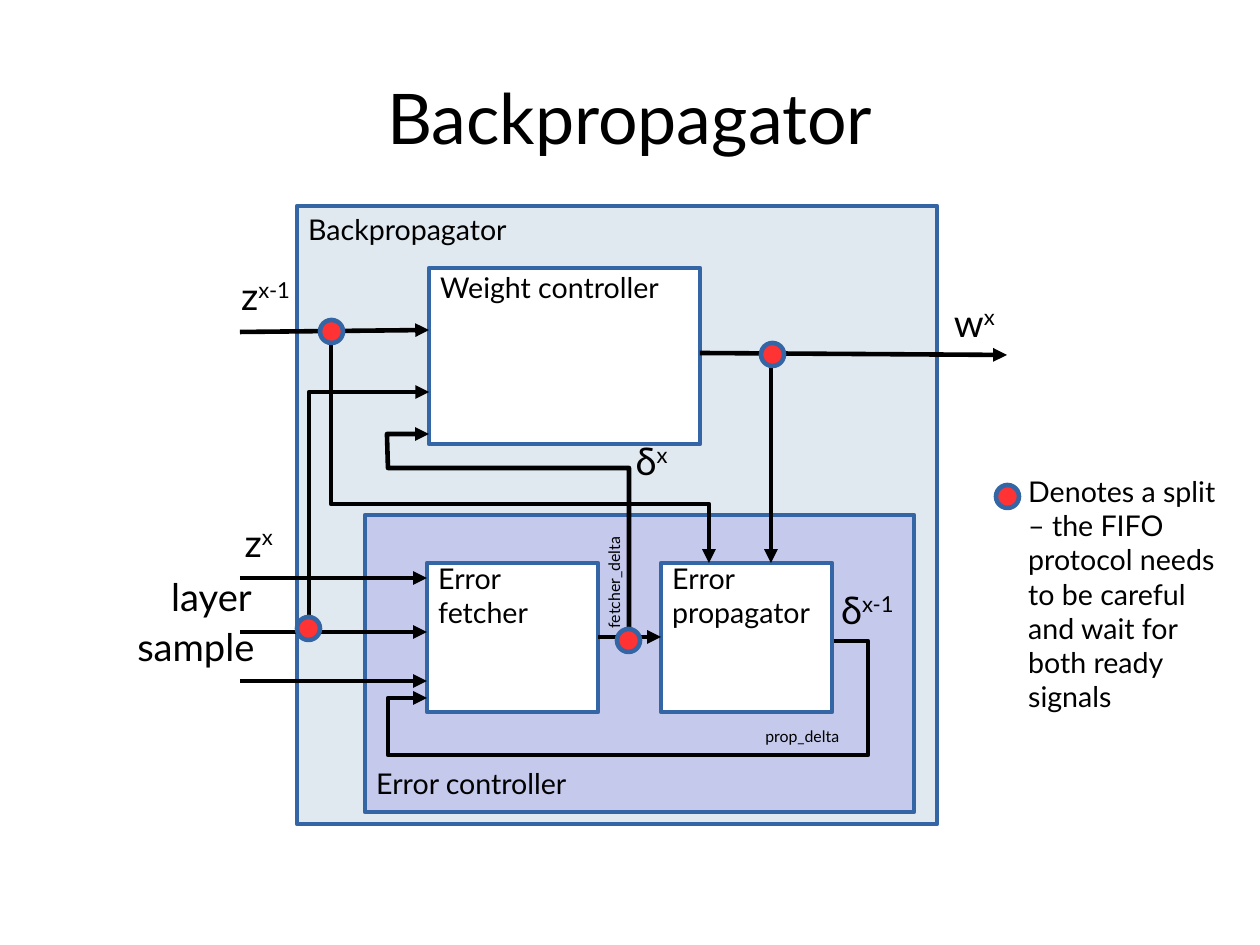
from lxml import etree
from pptx import Presentation
from pptx.dml.color import RGBColor
from pptx.enum.shapes import MSO_CONNECTOR, MSO_SHAPE
from pptx.enum.text import MSO_ANCHOR, PP_ALIGN
from pptx.oxml.ns import qn
from pptx.util import Pt

PX = 8000
SLIDE_WIDTH, SLIDE_HEIGHT = 1260, 945
FONT = "Lato"
BLACK, WHITE, BLUE, RED = "000000", "FFFFFF", "3465A4", "FF3333"
PALE_BLUE, LILAC = "E0E9F0", "C5CAED"
LINE_WIDTH = Pt(2.89)
DOT_SIZE = 23
RECTANGLE, OVAL = MSO_SHAPE.RECTANGLE, MSO_SHAPE.OVAL
STRAIGHT = MSO_CONNECTOR.STRAIGHT
LEFT, CENTER, RIGHT = PP_ALIGN.LEFT, PP_ALIGN.CENTER, PP_ALIGN.RIGHT
JUSTIFY = PP_ALIGN.JUSTIFY
TOP, MIDDLE = MSO_ANCHOR.TOP, MSO_ANCHOR.MIDDLE

BLOCKS = [
    ((297, 206, 640, 618), PALE_BLUE),
    ((365, 515, 549, 297), LILAC),
    ((429, 268, 271, 176), WHITE),
    ((427, 563, 171, 149), WHITE),
    ((661, 563, 171, 149), WHITE),
]

WIRES = [
    [(240, 332), (429, 330)],
    [(240, 578), (427, 578)],
    [(240, 632), (427, 632)],
    [(240, 681), (427, 681)],
    [(700, 353), (1007, 355)],
    [(771, 353), (771, 563)],
    [(598, 637), (661, 637)],
    [(629, 637), (629, 468), (388, 468), (387, 434), (429, 434)],
    [(834, 641), (868, 641), (868, 755), (388, 755), (388, 698), (427, 698)],
    [(331, 330), (331, 504), (709, 504), (709, 563)],
    [(309, 632), (309, 392), (429, 392)],
]

SPLITS = [(320, 320), (761, 343), (617, 629), (996, 485), (297, 617)]

CAPTIONS = [
    ((429, 264, 311, 113), ["Weight controller"]),
    ((427, 555, 160, 113), ["Error ", "fetcher"]),
    ((661, 555, 171, 137), ["Error ", "propagator"]),
    ((365, 760, 311, 113), ["Error controller"]),
    ((297, 206, 504, 58), ["Backpropagator"]),
    ((1017, 468, 217, 391), ["Denotes a split – the FIFO protocol needs to be "
                             "careful and wait for both ready signals"]),
]

SIGNALS = [
    ((230, 267, 81, 67), "z", "x-1", LEFT),
    ((227, 514, 57, 80), "z", "x", RIGHT),
    ((939, 294, 67, 67), "w", "x", RIGHT),
    ((615, 432, 64, 67), "δ", "x", RIGHT),
    ((784, 581, 121, 123), "δ", "x-1", RIGHT),
    ((160, 568, 125, 80), "layer", "", JUSTIFY),
    ((126, 618, 159, 123), "sample", "", JUSTIFY),
]


def rgb(value):
    return RGBColor.from_string(value)


def scaled(lengths):
    return [length * PX for length in lengths]


def add_block(page, kind, place, fill):
    block = page.shapes.add_shape(kind, *scaled(place))
    block.shadow.inherit = False
    block.fill.solid()
    block.fill.fore_color.rgb = rgb(fill)
    block.line.color.rgb = rgb(BLUE)
    block.line.width = LINE_WIDTH


def add_wire(page, points):
    if len(points) == 2:
        start, end = points
        wire = page.shapes.add_connector(STRAIGHT, *scaled(start + end))
    else:
        builder = page.shapes.build_freeform(*points[0], scale=PX)
        builder.add_line_segments(points[1:], close=False)
        wire = builder.convert_to_shape()
        wire.fill.background()
    wire.line.color.rgb = rgb(BLACK)
    wire.line.width = LINE_WIDTH
    properties = wire._element.spPr
    outline = properties.find(qn("a:ln"))
    etree.SubElement(outline, qn("a:tailEnd"), type="triangle")
    etree.SubElement(properties, qn("a:effectLst"))


def add_text_box(page, place, align=LEFT, anchor=TOP):
    box = page.shapes.add_textbox(*scaled(place))
    frame = box.text_frame
    frame.word_wrap = True
    frame.vertical_anchor = anchor
    para = frame.paragraphs[0]
    para.alignment = align
    return box, para


def add_span(para, text, size):
    span = para.add_run()
    span.text = text
    span.font.name = FONT
    span.font.size = Pt(size)
    span.font.color.rgb = rgb(BLACK)
    return span


def add_caption(page, place, lines, size=18, rotation=0):
    box, para = add_text_box(page, place)
    box.rotation = rotation
    for number, line in enumerate(lines):
        if number:
            para.add_line_break()
        add_span(para, line, size)


def add_signal(page, place, name, index, align):
    box, para = add_text_box(page, place, align)
    para.space_before = para.space_after = Pt(2.8)
    add_span(para, name, 24)
    if index:
        span = add_span(para, index, 24)
        span._r.get_or_add_rPr().set("baseline", "33000")


def add_title(page, place, text):
    box, para = add_text_box(page, place, CENTER, MIDDLE)
    add_span(para, text, 44)


def main():
    deck = Presentation()
    deck.slide_width = SLIDE_WIDTH * PX
    deck.slide_height = SLIDE_HEIGHT * PX
    page = deck.slides.add_slide(deck.slide_layouts[6])
    add_title(page, (63, 38, 1134, 158), "Backpropagator")
    for place, fill in BLOCKS:
        add_block(page, RECTANGLE, place, fill)
    for points in WIRES:
        add_wire(page, points)
    for left, top in SPLITS:
        add_block(page, OVAL, (left, top, DOT_SIZE, DOT_SIZE), RED)
    for place, lines in CAPTIONS:
        add_caption(page, place, lines)
    add_caption(page, (754, 721, 103, 34), ["prop_delta"], 10)
    add_caption(page, (538, 521, 179, 58), ["fetcher_delta"], 10, 270)
    for signal in SIGNALS:
        add_signal(page, *signal)
    deck.save("out.pptx")


if __name__ == "__main__":
    main()
